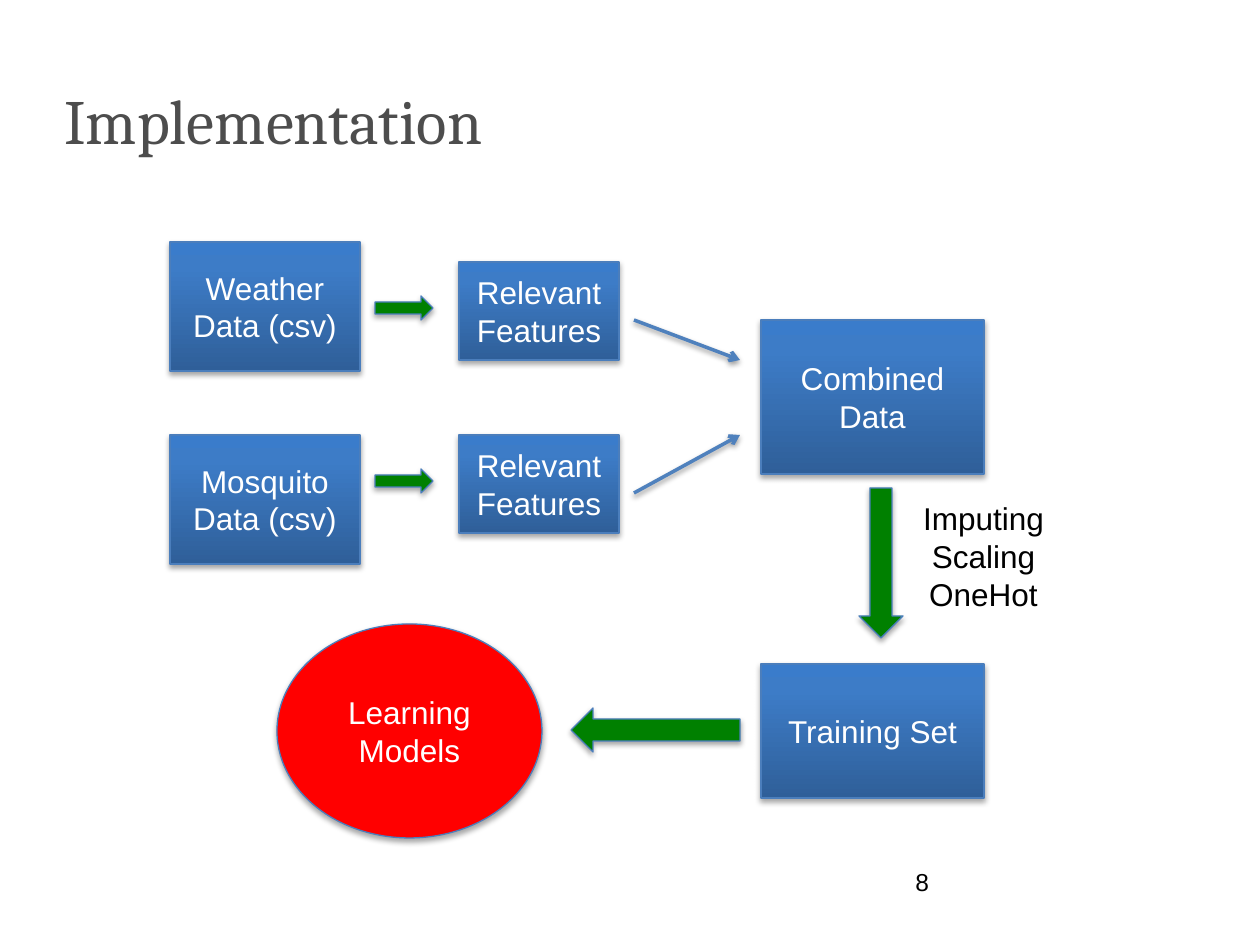
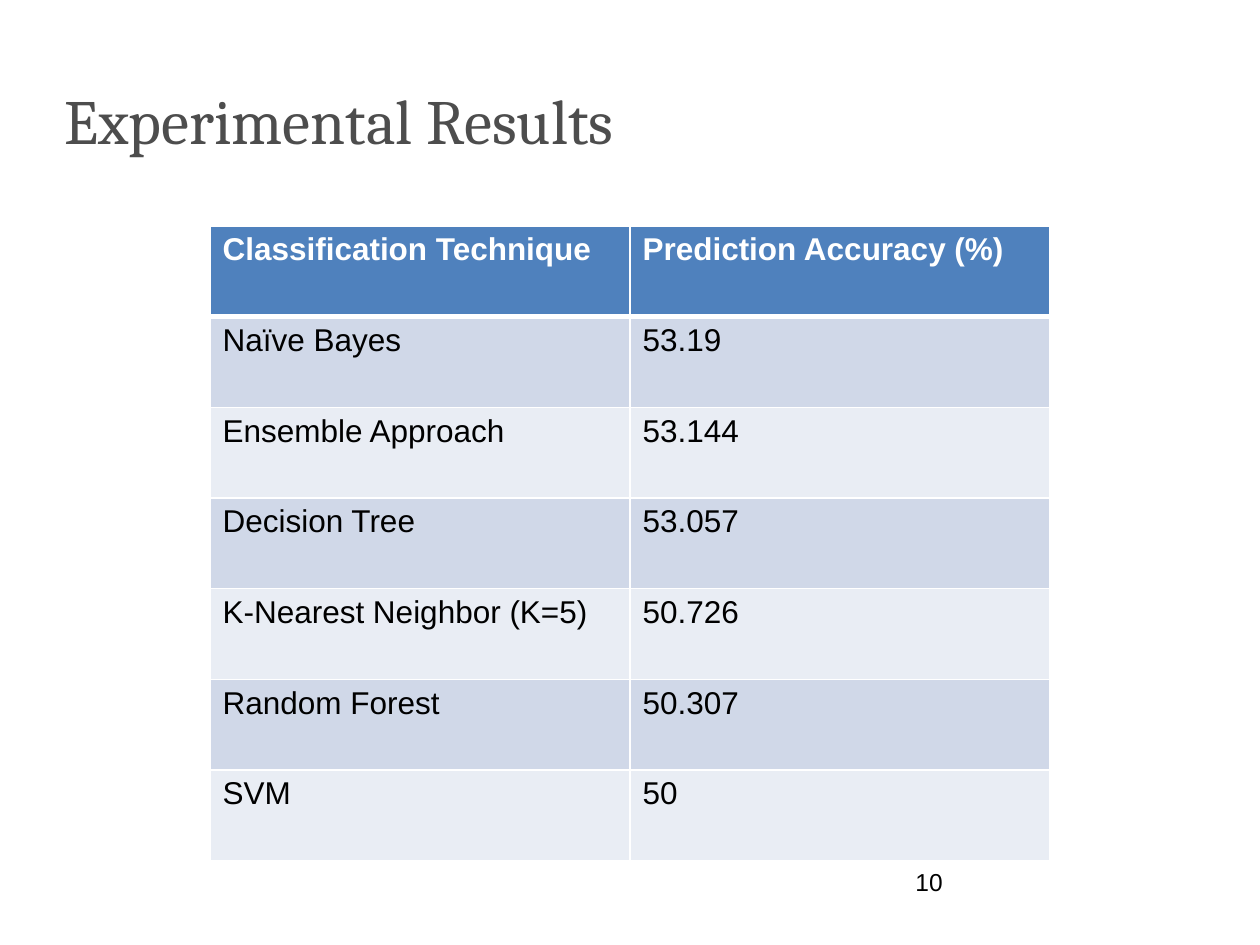
from copy import deepcopy

from lxml.etree import SubElement
from pptx import Presentation
from pptx.dml.color import RGBColor
from pptx.enum.shapes import MSO_CONNECTOR, MSO_SHAPE as SHAPE
from pptx.enum.text import MSO_ANCHOR as ANCHOR, MSO_AUTO_SIZE, PP_ALIGN as ALIGN
from pptx.oxml.ns import qn
from pptx.util import Emu, Pt

PX = 914400 / 126
BODY_FONT, TITLE_FONT = "Arial", "Cambria"
WHITE, BLACK, TITLE_GREY = "FFFFFF", "000000", "4D4D4D"
BLUE, EDGE, GREEN, RED = "4F81BD", "4B7EBC", "008000", "FF0000"
BOX_GRADIENT = [(0, "2F5F99"), (0.8, "3D7CC7"), (1, "3A7CCB")]
BANDS = ["D0D8E8", "E9EDF4"]


def px(*lengths):
    return [Emu(round(length * PX)) for length in lengths]


def rgb(color):
    return RGBColor.from_string(color)


def write(frame, lines, size=18, color=BLACK, font=BODY_FONT, bold=False,
          align=ALIGN.LEFT, spacing=None):
    frame.text = "\n".join(lines)
    for line in frame.paragraphs:
        line.alignment = align
        line.line_spacing = spacing
        line.font.name = font
        line.font.size = Pt(size)
        line.font.bold = bold
        line.font.color.rgb = rgb(color)


def add_text(slide, box, lines, wrap=True, anchor=ANCHOR.TOP, **style):
    frame = slide.shapes.add_textbox(*px(*box)).text_frame
    frame.word_wrap = wrap
    frame.vertical_anchor = anchor
    write(frame, lines, **style)
    return frame


def add_shadow(properties, distance, opacity):
    effects = properties.find(qn("a:effectLst"))
    if effects is None:
        effects = SubElement(properties, qn("a:effectLst"))
    shadow = SubElement(effects, qn("a:outerShdw"), blurRad="40000",
                        dist=str(distance), dir="5400000", rotWithShape="0")
    black = SubElement(shadow, qn("a:srgbClr"), val=BLACK)
    SubElement(black, qn("a:alpha"), val=str(opacity * 1000))


def shade(fill):
    """Fill with the dark-to-light gradient, rising from the bottom."""
    fill.gradient()
    fill.gradient_angle = 90
    first_stop = fill._xPr.find(".//" + qn("a:gs"))
    first_stop.addnext(deepcopy(first_stop))
    for stop, (position, color) in zip(fill.gradient_stops, BOX_GRADIENT):
        stop.position = position
        stop.color.rgb = rgb(color)


def add_node(slide, box, label=None, kind=SHAPE.RECTANGLE, color=None):
    """Add a flow shape; without a color it takes the blue gradient."""
    node = slide.shapes.add_shape(kind, *px(*box))
    if color:
        node.fill.solid()
        node.fill.fore_color.rgb = rgb(color)
    else:
        shade(node.fill)
    node.line.color.rgb = rgb(EDGE)
    node.line.width = Pt(0.75)
    node.shadow.inherit = False
    add_shadow(node._element.spPr, 23000, 35)
    if label:
        node.text_frame.vertical_anchor = ANCHOR.MIDDLE
        write(node.text_frame, [label], color=WHITE, align=ALIGN.CENTER)


def add_thin_arrow(slide, start, end):
    arrow = slide.shapes.add_connector(MSO_CONNECTOR.STRAIGHT, *px(*start, *end))
    arrow.line.color.rgb = rgb(BLUE)
    arrow.line.width = Pt(2)
    SubElement(arrow.line._get_or_add_ln(), qn("a:tailEnd"), type="arrow")
    add_shadow(arrow._element.spPr, 20000, 38)


def add_titled_slide(deck, title, number):
    slide = deck.slides.add_slide(deck.slide_layouts[6])
    add_text(slide, (52, 21, 944, 158), [title], anchor=ANCHOR.MIDDLE,
             size=36, color=TITLE_GREY, font=TITLE_FONT, spacing=1.5)
    add_text(slide, (903, 861, 294, 66), [str(number)], size=14)
    return slide


def add_feature_paths(slide, left, top):
    """Place both data sources, each leading to its relevant features."""
    paths = [("Weather Data (csv)", 0, 20, 118),
             ("Mosquito Data (csv)", 193, 193, 193)]
    for source, source_y, features_y, target_y in paths:
        features_top = top + features_y
        add_node(slide, (left, top + source_y, 190, 129), source)
        add_node(slide, (left + 205, features_top + 34, 58, 24),
                 kind=SHAPE.RIGHT_ARROW, color=GREEN)
        add_node(slide, (left + 289, features_top, 160, 98), "Relevant Features")
        add_thin_arrow(slide, (left + 464, features_top + 58),
                       (left + 570, top + target_y))


def add_training_path(slide, left, top):
    """Place the steps from the combined data down to the learning models."""
    column = left + 484
    add_node(slide, (column, top, 223, 154), "Combined Data")
    add_node(slide, (column + 98, top + 168, 44, 150),
             kind=SHAPE.DOWN_ARROW, color=GREEN)
    steps = add_text(slide, (column + 149, top + 173, 147, 127),
                     ["Imputing", "Scaling", "OneHot"], wrap=False,
                     align=ALIGN.CENTER)
    steps.auto_size = MSO_AUTO_SIZE.SHAPE_TO_FIT_TEXT
    add_node(slide, (column, top + 344, 223, 134), "Training Set")
    add_node(slide, (left + 294, top + 388, 169, 44),
             kind=SHAPE.LEFT_ARROW, color=GREEN)
    add_node(slide, (left, top + 304, 265, 214), "Learning Models",
             SHAPE.OVAL, RED)


def add_borders(cell, **widths):
    properties = cell._tc.get_or_add_tcPr()
    for side in "LRTB":
        border = SubElement(properties, qn("a:ln" + side),
                            w=str(Pt(widths.get(side, 1))))
        fill = SubElement(border, qn("a:solidFill"))
        SubElement(fill, qn("a:srgbClr"), val=WHITE)


def add_results_table(slide, box, rows):
    table = slide.shapes.add_table(len(rows), len(rows[0]), *px(*box)).table
    for r, row in enumerate(rows):
        header = r == 0
        for c, value in enumerate(row):
            cell = table.cell(r, c)
            add_borders(cell, B=3 if header else 1, T=3 if r == 1 else 1)
            cell.fill.solid()
            cell.fill.fore_color.rgb = rgb(BLUE if header else BANDS[(r - 1) % 2])
            write(cell.text_frame, [value], bold=header,
                  color=WHITE if header else BLACK)


def main():
    deck = Presentation()
    deck.slide_width, deck.slide_height = px(1260, 945)

    implementation = add_titled_slide(deck, "Implementation", 8)
    add_feature_paths(implementation, 170, 242)
    add_training_path(implementation, 277, 320)

    results = add_titled_slide(deck, "Experimental Results", 10)
    add_results_table(results, (210, 226, 840, 635), [
        ("Classification Technique", "Prediction Accuracy (%)"),
        ("Naïve Bayes", "53.19"),
        ("Ensemble Approach", "53.144"),
        ("Decision Tree", "53.057"),
        ("K-Nearest Neighbor (K=5)", "50.726"),
        ("Random Forest", "50.307"),
        ("SVM", "50"),
    ])
    deck.save("out.pptx")


if __name__ == "__main__":
    main()
